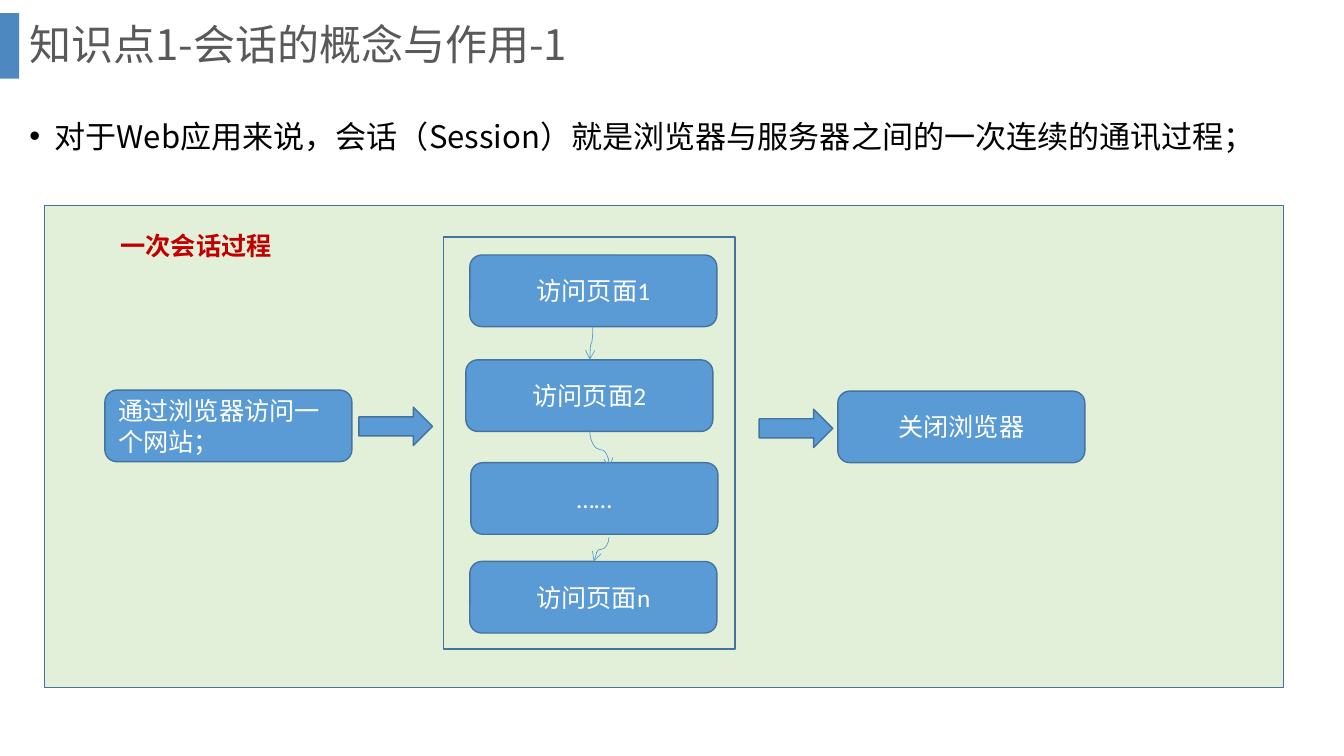
from lxml.etree import SubElement
from pptx import Presentation
from pptx.dml.color import RGBColor
from pptx.enum.shapes import MSO_CONNECTOR as CONN, MSO_SHAPE as SHAPE
from pptx.enum.text import MSO_ANCHOR as ANCHOR, MSO_AUTO_SIZE as AUTO, PP_ALIGN as ALIGN
from pptx.oxml.ns import qn
from pptx.util import Pt

PX = 9144
BLUE, EDGE = "5B9BD5", "43739E"
CJK = "Noto Sans CJK SC"
BOX_W, BOX_H = 245, 71
ARROW_W, ARROW_H = 73, 38


def color(value):
    """Turn a hex string into a colour."""
    return RGBColor.from_string(value)


def emu(*lengths):
    """Scale px lengths to whole EMU."""
    return [round(n * PX) for n in lengths]


def write(sp, text, size=18, font="Calibri", fill="FFFFFF", bold=False,
          align=ALIGN.CENTER, anchor=ANCHOR.MIDDLE, wrap=True):
    """Put one formatted paragraph into a shape and return it."""
    tf = sp.text_frame
    tf.word_wrap, tf.auto_size, tf.vertical_anchor = wrap, AUTO.NONE, anchor
    p = tf.paragraphs[0]
    p.alignment = align
    r = p.add_run()
    r.text = text
    r.font.size, r.font.name, r.font.bold = Pt(size), font, bold
    r.font.color.rgb = color(fill)
    SubElement(r.font._element, qn("a:ea"), typeface=CJK)
    return p


def add_box(s, kind, x, y, w, h, fill=None, line=EDGE):
    """Draw a preset shape with optional fill and outline."""
    sp = s.shapes.add_shape(kind, *emu(x, y, w, h))
    sp.shadow.inherit = False
    if fill:
        sp.fill.solid()
        sp.fill.fore_color.rgb = color(fill)
    else:
        sp.fill.background()
    if line:
        sp.line.color.rgb = color(line)
        sp.line.width = Pt(1)
    else:
        sp.line.fill.background()
    return sp


def add_step(s, x, y, text, align=ALIGN.CENTER):
    """Draw one rounded step of the session."""
    write(add_box(s, SHAPE.ROUNDED_RECTANGLE, x, y, BOX_W, BOX_H, BLUE), text, align=align)


def add_curve(s, x1, y1, x2, y2):
    """Draw a thin S-curve arrow that leaves and arrives vertically."""
    cx, cy = (x1 + x2) / 2, (y1 + y2) / 2
    half_w, half_h = (y2 - y1) / 2, (x1 - x2) / 2
    c = s.shapes.add_connector(CONN.CURVE, *emu(cx - half_w, cy - half_h, cx + half_w, cy + half_h))
    c.line.color.rgb = color(BLUE)
    c.line.width = Pt(0.5)
    pr = c._element.spPr
    pr.find(qn("a:xfrm")).set("rot", "5400000")
    SubElement(pr.find(qn("a:ln")), qn("a:tailEnd"), type="arrow")
    SubElement(pr, qn("a:effectLst"))


def place(sp, x, y, w, h):
    """Move a placeholder to a px box."""
    sp.left, sp.top, sp.width, sp.height = emu(x, y, w, h)


def add_heading(s, x, y, w, h):
    """Fill the title and the accent bar at its left."""
    bar = add_box(s, SHAPE.RECTANGLE, 0, y + 13, x, 65, "2E75B6", None)
    SubElement(bar._element.spPr.find(".//" + qn("a:srgbClr")), qn("a:alpha"), val="85000")
    title = s.shapes.title
    place(title, x, y, w, h)
    p = write(title, "知识点1-会话的概念与作用-1", size=30, font=CJK, fill="595959", align=ALIGN.LEFT)
    p.line_spacing = 0.9


def add_definition(s, x, y, w, h):
    """Fill the body with the bulleted definition."""
    body = s.placeholders[1]
    place(body, x, y, w, h)
    p = write(body, "对于Web应用来说，会话（Session）就是浏览器与服务器之间的一次连续的通讯过程；",
              size=22.2, font=CJK, fill="000000", align=ALIGN.LEFT, anchor=ANCHOR.TOP)
    p.line_spacing, p.space_before = 1.5, Pt(10)
    pr = p._p.get_or_add_pPr()
    pr.set("marL", str(25 * PX))
    pr.set("indent", str(-25 * PX))
    SubElement(pr, qn("a:buFont"), typeface="Arial")
    SubElement(pr, qn("a:buChar"), char="•")


def add_pages(s, x, y, w, h):
    """Draw the framed column of visited pages and their links."""
    pages = [(26, 18, "访问页面1"), (22, 122, "访问页面2"), (27, 224, "……"), (26, 322, "访问页面n")]
    links = [(148, 89, 145, 122), (145, 193, 165, 229), (164, 298, 149, 322)]
    for dx, dy, text in pages:
        add_step(s, x + dx, y + dy, text)
    add_box(s, SHAPE.RECTANGLE, x, y, w, h)
    for x1, y1, x2, y2 in links:
        add_curve(s, x + x1, y + y1, x + x2, y + y2)


def add_session(s, x, y, w, h):
    """Draw the session panel from opening to closing the browser."""
    add_box(s, SHAPE.RECTANGLE, x, y, w, h, "E2F0D9")
    add_step(s, x + 60, y + 183, "通过浏览器访问一个网站；", ALIGN.LEFT)
    add_pages(s, x + 396, y + 31, 289, 409)
    add_step(s, x + 787, y + 184, "关闭浏览器")
    for dx, dy in ((312, 200), (709, 202)):
        add_box(s, SHAPE.RIGHT_ARROW, x + dx, y + dy, ARROW_W, ARROW_H, BLUE)
    label = s.shapes.add_textbox(*emu(x + 7, y + 20, 287, 40))
    write(label, "一次会话过程", fill="C00000", bold=True, anchor=ANCHOR.TOP)


def main():
    """Build and save the slide."""
    prs = Presentation()
    prs.slide_width, prs.slide_height = emu(1333, 750)
    s = prs.slides.add_slide(prs.slide_layouts[1])
    add_heading(s, 19, 0, 1266, 93)
    add_definition(s, 19, 93, 1291, 92)
    add_session(s, 44, 204, 1229, 478)
    prs.save("out.pptx")


if __name__ == "__main__":
    main()
